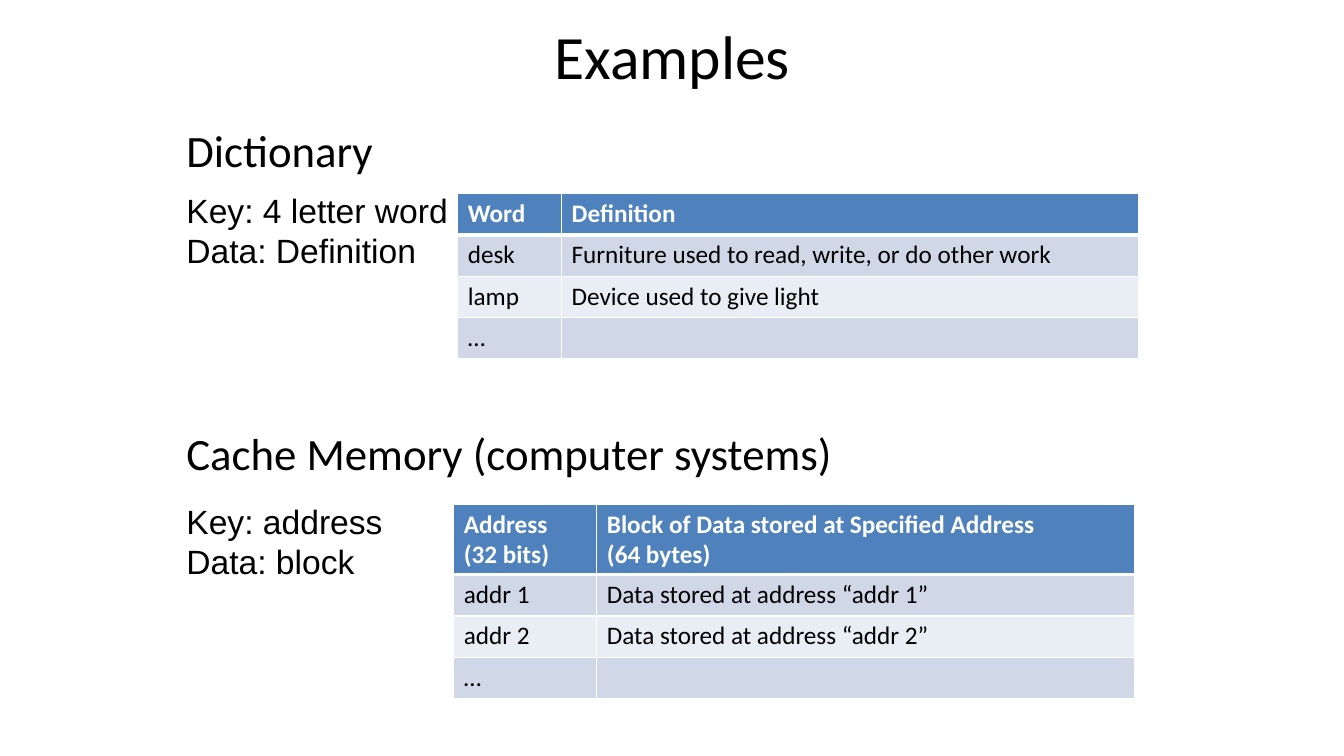
from lxml import etree
from pptx import Presentation
from pptx import util as u
from pptx.dml.color import RGBColor
from pptx.enum import text
from pptx.oxml import ns

BLACK = RGBColor(0x00, 0x00, 0x00)
WHITE = RGBColor(0xFF, 0xFF, 0xFF)
HEADER_BLUE = RGBColor(0x4F, 0x81, 0xBD)
BANDS = [RGBColor(0xD0, 0xD8, 0xE8), RGBColor(0xE9, 0xED, 0xF4)]

LEFT = 1.75
WIDTH = 9
ROW = 0.41

prs = Presentation()
prs.slide_width, prs.slide_height = u.Inches(13.33), u.Inches(7.5)
slide = prs.slides.add_slide(prs.slide_layouts[6])


def add_words(words, left, top, width, height, size, font="Calibri", wrap=True):
    frame = slide.shapes.add_textbox(*map(u.Inches, (left, top, width, height))).text_frame
    frame.word_wrap = wrap
    frame.text = words
    for line in frame.paragraphs:
        line.font.size, line.font.name = u.Pt(size), font
        line.font.color.rgb = BLACK
    return frame


def add_borders(cell, top, bottom):
    """Draw white cell edges; top and bottom are widths in points."""
    properties = cell._tc.get_or_add_tcPr()
    for place, (side, points) in enumerate(zip("LRTB", (1, 1, top, bottom))):
        edge = etree.Element(ns.qn(f"a:ln{side}"), w=str(u.Pt(points)))
        paint = etree.SubElement(edge, ns.qn("a:solidFill"))
        etree.SubElement(paint, ns.qn("a:srgbClr"), val=str(WHITE))
        properties.insert(place, edge)


title = add_words("Examples", 2.17, -0.08, WIDTH, 1.25, 44)
title.vertical_anchor = text.MSO_ANCHOR.MIDDLE
title.paragraphs[0].alignment = text.PP_ALIGN.CENTER

# heading, its top, key and data, their top, table left and top, columns, header height, rows
examples = [
    ("Dictionary", 1.17, "Key: 4 letter word\nData: Definition", 1.83,
     4.54, 1.92, (1.03, 5.72), ROW,
     [("Word", "Definition"),
      ("desk", "Furniture used to read, write, or do other work"),
      ("lamp", "Device used to give light"),
      ("…", "")]),
    ("Cache Memory (computer systems)", 4.17, "Key: address\nData: block", 4.92,
     4.5, 5, (1.42, 5.33), 0.7,
     [("Address\n(32 bits)", "Block of Data stored at Specified Address\n(64 bytes)"),
      ("addr 1", "Data stored at address “addr 1”"),
      ("addr 2", "Data stored at address “addr 2”"),
      ("…", "")]),
]

for (heading, heading_top, key_data, key_top,
     table_left, table_top, columns, header_height, rows) in examples:
    heading_frame = add_words(heading, LEFT, heading_top, WIDTH, 0.75, 32)
    heading_frame.paragraphs[0].space_before = u.Pt(6.4)
    add_words(key_data, LEFT, key_top, 2.82, 0.91, 24, "Arial", wrap=False)

    heights = [header_height] + [ROW] * (len(rows) - 1)
    table = slide.shapes.add_table(
        len(rows), len(columns),
        *map(u.Inches, (table_left, table_top, sum(columns), sum(heights)))).table
    for column, width in zip(table.columns, columns):
        column.width = u.Inches(width)
    for r, (entries, height) in enumerate(zip(rows, heights)):
        table.rows[r].height = u.Inches(height)
        is_header = r == 0
        for c, entry in enumerate(entries):
            cell = table.cell(r, c)
            cell.text = entry
            cell.fill.solid()
            cell.fill.fore_color.rgb = HEADER_BLUE if is_header else BANDS[(r - 1) % 2]
            add_borders(cell, top=3 if r == 1 else 1, bottom=3 if is_header else 1)
            for line in cell.text_frame.paragraphs:
                line.font.size, line.font.name = u.Pt(18), "Calibri"
                line.font.bold = is_header
                line.font.color.rgb = WHITE if is_header else BLACK

prs.save("out.pptx")
